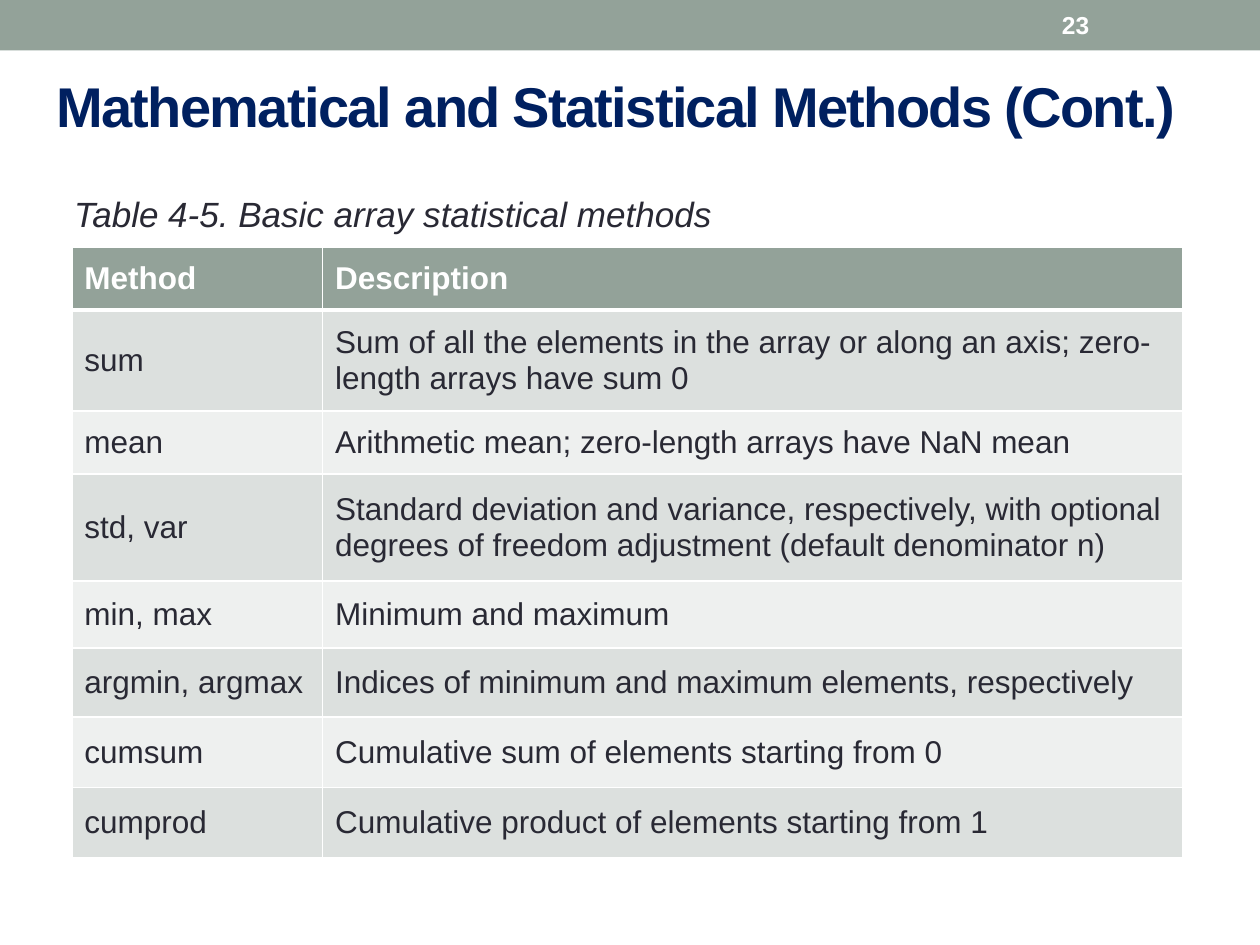
from lxml import etree
from pptx import Presentation
from pptx import util as u
from pptx.dml.color import RGBColor
from pptx.enum import shapes, text
from pptx.oxml import ns

WIDTH, HEIGHT = 10, 7.5
FONT = "Arial"
COLORS = {
    "band": "93A299",
    "title": "002060",
    "body": "292934",
    "white": "FFFFFF",
    "odd_row": "DCE0DE",
    "even_row": "EEF0EF",
}
COLUMN_WIDTHS = [1.99, 6.83]
ROW_HEIGHTS = [0.48, 0.76, 0.48, 0.85, 0.53, 0.55, 0.56, 0.56]
METHODS = [
    ("Method", "Description"),
    ("sum", "Sum of all the elements in the array or along an axis; zero-length arrays have sum 0"),
    ("mean", "Arithmetic mean; zero-length arrays have NaN mean"),
    ("std, var", "Standard deviation and variance, respectively, with optional "
                 "degrees of freedom adjustment (default denominator n)"),
    ("min, max", "Minimum and maximum"),
    ("argmin, argmax", "Indices of minimum and maximum elements, respectively"),
    ("cumsum", "Cumulative sum of elements starting from 0"),
    ("cumprod", "Cumulative product of elements starting from 1"),
]


def rgb(name):
    return RGBColor.from_string(COLORS[name])


def box(left, top, width, height):
    return [u.Inches(length) for length in (left, top, width, height)]


def write_text(frame, content, size=18, color="body", bold=False, italic=False,
               line_spacing=None, tracking=None):
    frame.word_wrap = True
    paragraph = frame.paragraphs[0]
    paragraph.line_spacing = line_spacing
    run = paragraph.add_run()
    run.text = content
    font = run.font
    font.name, font.size = FONT, u.Pt(size)
    font.bold, font.italic = bold, italic
    font.color.rgb = rgb(color)
    if tracking:
        run._r.get_or_add_rPr().set("spc", str(int(tracking * 100)))


def add_label(slide, place, content, anchor=text.MSO_ANCHOR.MIDDLE, **formatting):
    frame = slide.shapes.add_textbox(*box(*place)).text_frame
    frame.vertical_anchor = anchor
    write_text(frame, content, **formatting)


def add_band(slide, height):
    shape = slide.shapes.add_shape(shapes.MSO_SHAPE.RECTANGLE, *box(0, 0, WIDTH, height))
    shape.shadow.inherit = False
    shape.fill.solid()
    shape.fill.fore_color.rgb = rgb("band")
    shape.line.fill.background()


def set_borders(cell, widths):
    properties = cell._tc.get_or_add_tcPr()
    for index, (side, width) in enumerate(widths.items()):
        line = etree.Element(ns.qn(f"a:ln{side}"), w=str(u.Pt(width)))
        fill = etree.SubElement(line, ns.qn("a:solidFill"))
        etree.SubElement(fill, ns.qn("a:srgbClr"), val=COLORS["white"])
        properties.insert(index, line)


def fill_cell(cell, content, row):
    header = row == 0
    cell.vertical_anchor = text.MSO_ANCHOR.MIDDLE
    cell.margin_left = cell.margin_right = u.Inches(0.1)
    cell.margin_top = cell.margin_bottom = u.Inches(0.1)
    cell.fill.solid()
    cell.fill.fore_color.rgb = rgb("band" if header else "odd_row" if row % 2 else "even_row")
    write_text(cell.text_frame, content, color="white" if header else "body", bold=header)
    set_borders(cell, {"L": 1, "R": 1, "T": 3 if row == 1 else 1, "B": 3 if header else 1})


def add_method_table(slide, left, top):
    place = box(left, top, sum(COLUMN_WIDTHS), sum(ROW_HEIGHTS))
    table = slide.shapes.add_table(len(METHODS), len(COLUMN_WIDTHS), *place).table
    for column, width in zip(table.columns, COLUMN_WIDTHS):
        column.width = u.Inches(width)
    for row, (height, contents) in enumerate(zip(ROW_HEIGHTS, METHODS)):
        table.rows[row].height = u.Inches(height)
        for column, content in enumerate(contents):
            fill_cell(table.cell(row, column), content, row)


def main():
    presentation = Presentation()
    presentation.slide_width, presentation.slide_height = u.Inches(WIDTH), u.Inches(HEIGHT)
    slide = presentation.slides.add_slide(presentation.slide_layouts[6])
    add_band(slide, 0.4)
    add_label(slide, (0.35, 0.44, 9.5, 0.79), "Mathematical and Statistical Methods (Cont.)",
              size=32, color="title", bold=True, tracking=-1)
    add_label(slide, (8.33, 0.02, 1.17, 0.36), "23", size=14, color="white", bold=True)
    add_label(slide, (0.49, 1.41, 9, 0.66), "Table 4-5. Basic array statistical methods",
              anchor=text.MSO_ANCHOR.TOP, size=20, italic=True, line_spacing=1.2)
    add_method_table(slide, 0.57, 1.96)
    presentation.save("out.pptx")


if __name__ == "__main__":
    main()
